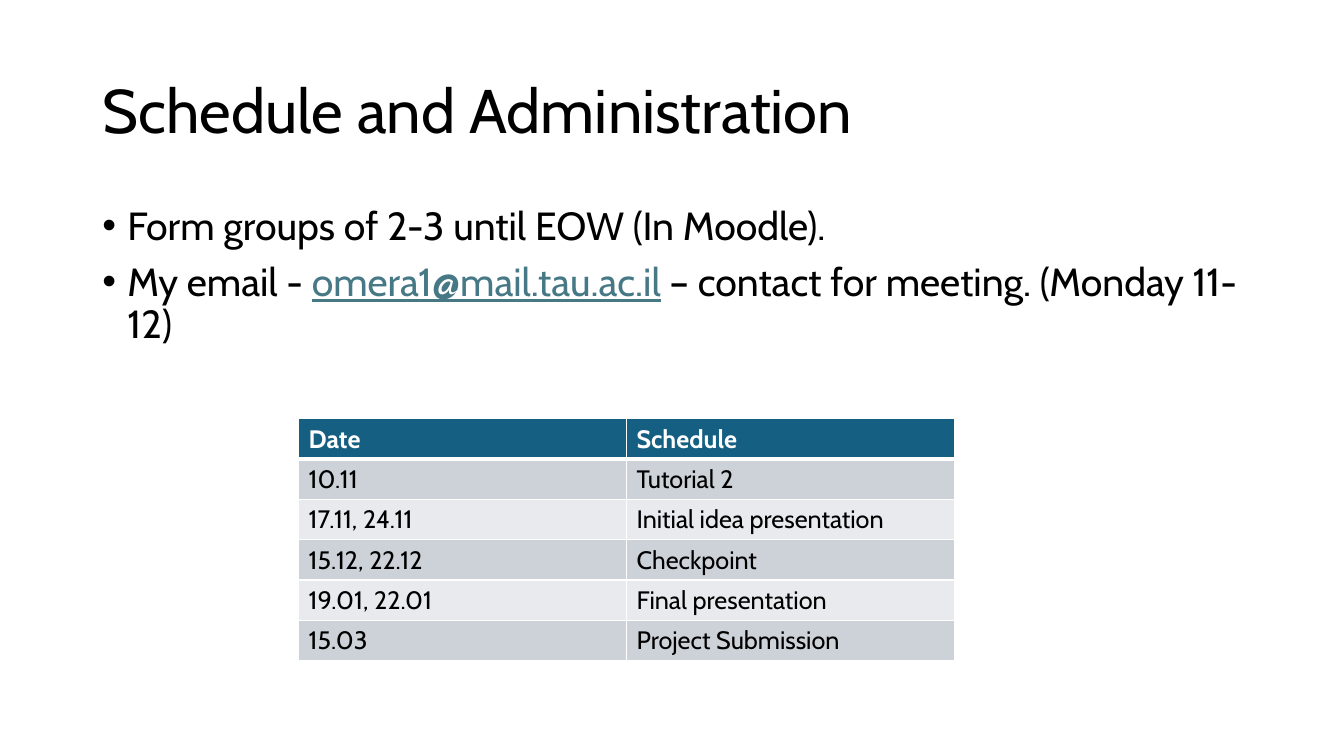
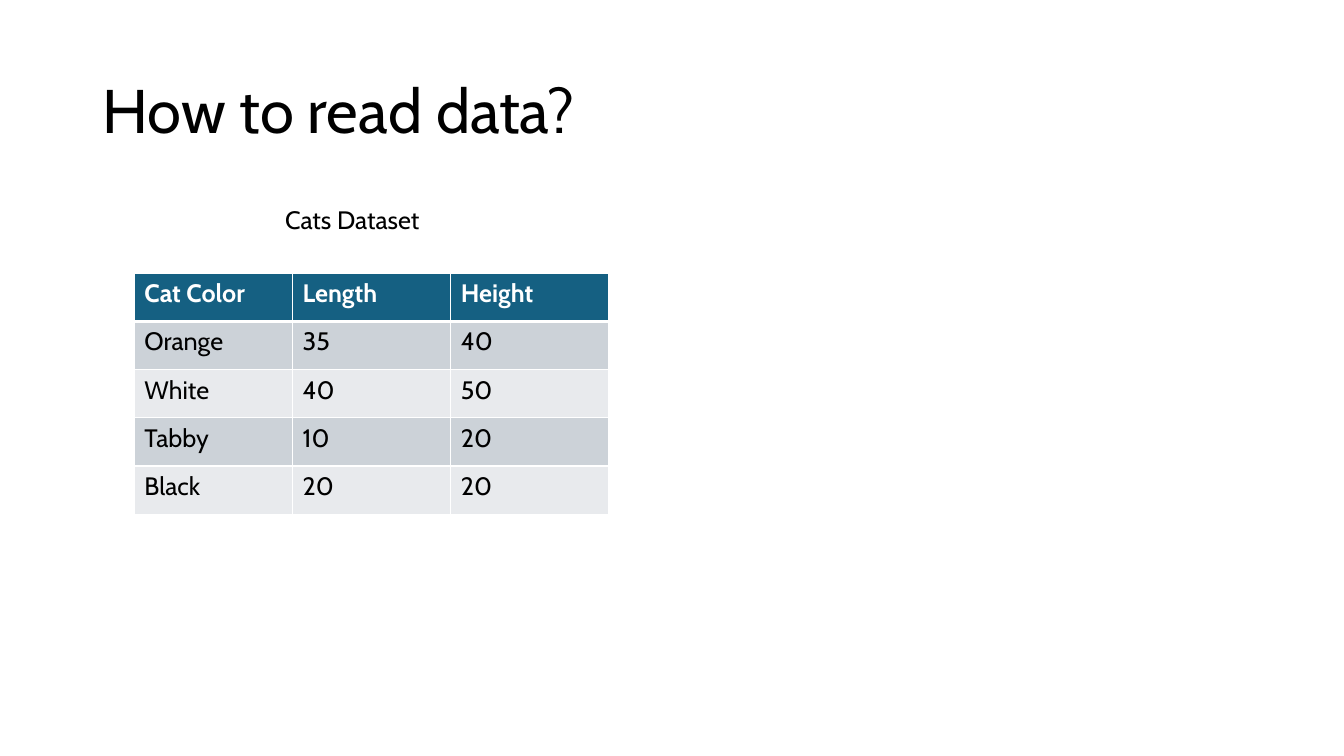
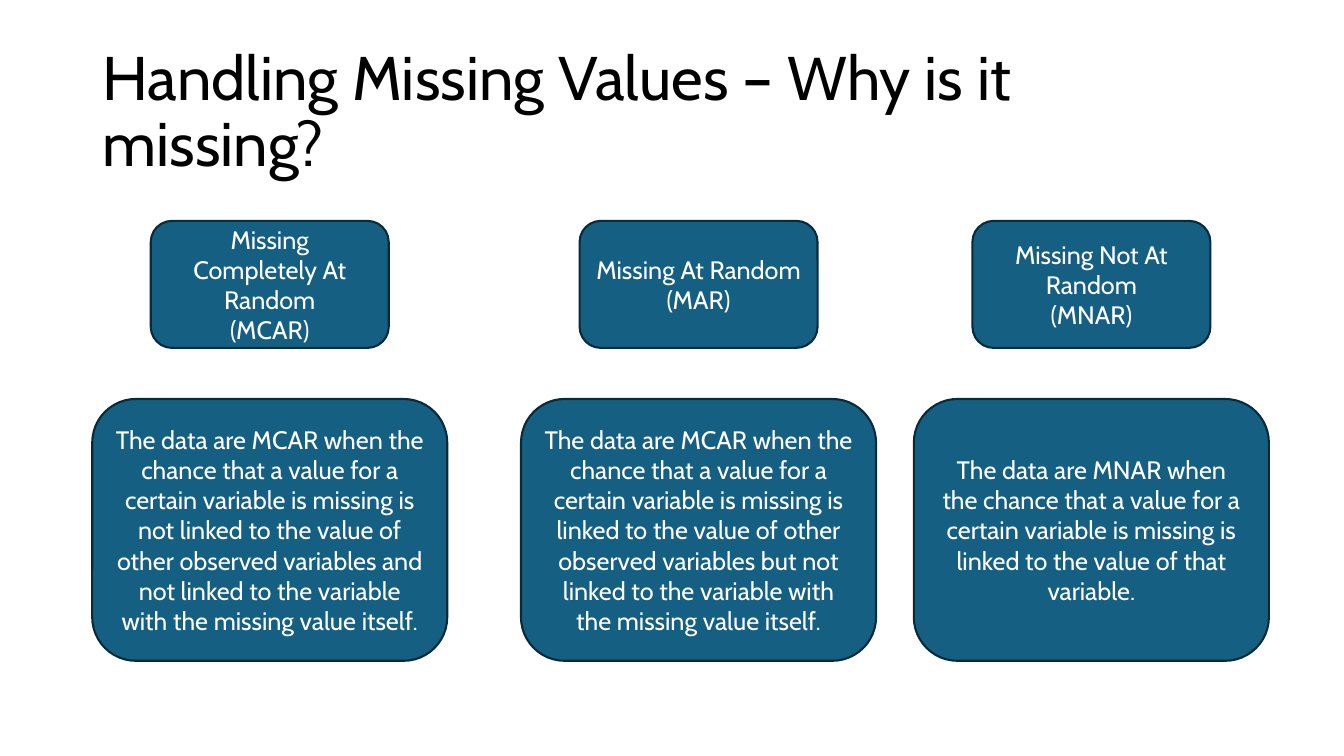
from lxml.etree import SubElement
from pptx import Presentation
from pptx.dml.color import RGBColor
from pptx.enum.shapes import MSO_SHAPE
from pptx.enum.text import MSO_ANCHOR, MSO_AUTO_SIZE, PP_ALIGN
from pptx.oxml.ns import qn
from pptx.util import Pt

BLACK = RGBColor(0x00, 0x00, 0x00)
WHITE = RGBColor(0xFF, 0xFF, 0xFF)
TEAL = RGBColor(0x15, 0x60, 0x82)
DARK_TEAL = RGBColor(0x09, 0x2A, 0x39)
LINK = RGBColor(0x46, 0x78, 0x86)
BANDS = (RGBColor(0xCC, 0xD2, 0xD8), RGBColor(0xE8, 0xEA, 0xED))

FONT = "Cabin"
TITLE_SIZE, BULLET_SIZE, TEXT_SIZE = 44, 28, 18
MARGIN, CONTENT_WIDTH = 66, 828
TITLE_ONLY = 5


class Deck:
    """Holds the presentation, the current slide and the shared style."""

    def __init__(self):
        self.presentation = Presentation()
        self.presentation.slide_width = Pt(960)
        self.presentation.slide_height = Pt(540)
        self.slide = None

    def style(self, paragraph, size=TEXT_SIZE, color=BLACK, bold=False, align=PP_ALIGN.LEFT):
        paragraph.alignment = align
        for run in paragraph.runs:
            run.font.name = FONT
            run.font.size = Pt(size)
            run.font.bold = bold
            run.font.color.rgb = color

    def add_slide(self, title):
        layout = self.presentation.slide_layouts[TITLE_ONLY]
        self.slide = self.presentation.slides.add_slide(layout)
        shape = self.slide.shapes.title
        shape.left, shape.top = Pt(MARGIN), Pt(28.75)
        shape.width, shape.height = Pt(CONTENT_WIDTH), Pt(104.4)
        frame = shape.text_frame
        frame.text = title
        frame.word_wrap = True
        frame.auto_size = MSO_AUTO_SIZE.NONE
        frame.vertical_anchor = MSO_ANCHOR.MIDDLE
        frame.paragraphs[0].line_spacing = 0.9
        self.style(frame.paragraphs[0], TITLE_SIZE)

    def add_text(self, left, top, width, height):
        shape = self.slide.shapes.add_textbox(Pt(left), Pt(top), Pt(width), Pt(height))
        shape.text_frame.word_wrap = True
        return shape.text_frame

    def add_caption(self, text, left, top, width, height):
        frame = self.add_text(left, top, width, height)
        frame.text = text
        self.style(frame.paragraphs[0], align=PP_ALIGN.CENTER)

    def add_bullets(self, items, left, top, width, height):
        """Each item is a list of (text, is_link) pairs."""
        frame = self.add_text(left, top, width, height)
        for index, item in enumerate(items):
            paragraph = frame.add_paragraph() if index else frame.paragraphs[0]
            properties = paragraph._p.get_or_add_pPr()
            properties.set("marL", str(Pt(18)))
            properties.set("indent", str(Pt(-18)))
            SubElement(properties, qn("a:buFont"), typeface="Arial")
            SubElement(properties, qn("a:buChar"), char="•")
            paragraph.line_spacing = 0.9
            if index:
                paragraph.space_before = Pt(10)
            for text, _ in item:
                paragraph.add_run().text = text
            self.style(paragraph, BULLET_SIZE)
            for run, (_, is_link) in zip(paragraph.runs, item):
                if is_link:
                    run.font.color.rgb = LINK
                    run.font.underline = True

    def set_borders(self, cell, top, bottom):
        properties = cell._tc.get_or_add_tcPr()
        for side, width in (("L", 1), ("R", 1), ("T", top), ("B", bottom)):
            line = SubElement(properties, qn(f"a:ln{side}"), w=str(Pt(width)))
            fill = SubElement(line, qn("a:solidFill"))
            SubElement(fill, qn("a:srgbClr"), val=str(WHITE))

    def add_table(self, rows, left, top, column_width, row_height):
        row_count, column_count = len(rows), len(rows[0])
        table = self.slide.shapes.add_table(
            row_count, column_count, Pt(left), Pt(top),
            Pt(column_width * column_count), Pt(row_height * row_count)).table
        for row_index, row in enumerate(rows):
            is_header = row_index == 0
            for column_index, text in enumerate(row):
                cell = table.cell(row_index, column_index)
                self.set_borders(cell, top=3 if row_index == 1 else 1,
                                 bottom=3 if is_header else 1)
                cell.fill.solid()
                cell.fill.fore_color.rgb = TEAL if is_header else BANDS[(row_index - 1) % 2]
                cell.text = text
                self.style(cell.text_frame.paragraphs[0],
                           color=WHITE if is_header else BLACK, bold=is_header)

    def add_box(self, lines, center, top, width, height):
        shape = self.slide.shapes.add_shape(
            MSO_SHAPE.ROUNDED_RECTANGLE, Pt(center - width / 2), Pt(top), Pt(width), Pt(height))
        shape.shadow.inherit = False
        shape.fill.solid()
        shape.fill.fore_color.rgb = TEAL
        shape.line.color.rgb = DARK_TEAL
        shape.line.width = Pt(1.5)
        frame = shape.text_frame
        frame.word_wrap = True
        frame.vertical_anchor = MSO_ANCHOR.MIDDLE
        frame.text = "\n".join(lines)
        for paragraph in frame.paragraphs:
            self.style(paragraph, color=WHITE, align=PP_ALIGN.CENTER)


def add_schedule(deck):
    deck.add_slide("Schedule and Administration")
    deck.add_bullets([
        [("Form groups of 2-3 until EOW (In Moodle).", False)],
        [("My email - ", False), ("omera1@mail.tau.ac.il", True),
         (" – contact for meeting. (Monday 11-12)", False)],
    ], MARGIN, 143.75, CONTENT_WIDTH, 342.6)
    deck.add_table([
        ("Date", "Schedule"),
        ("10.11", "Tutorial 2"),
        ("17.11, 24.11", "Initial idea presentation"),
        ("15.12, 22.12", "Checkpoint"),
        ("19.01, 22.01", "Final presentation"),
        ("15.03", "Project Submission"),
    ], 213.3, 299, 234.2, 28.8)


def add_cats(deck):
    deck.add_slide("How to read data?")
    deck.add_table([
        ("Cat Color", "Length", "Height"),
        ("Orange", "35", "40"),
        ("White", "40", "50"),
        ("Tabby", "10", "20"),
        ("Black", "20", "20"),
    ], 96, 195.3, 113, 34.4)
    deck.add_caption("Cats Dataset", 74.9, 142.6, 353.5, 29)


def add_missing_values(deck):
    deck.add_slide("Handling Missing Values – Why is it missing?")
    chance = "when the chance that a value for a certain variable is missing is"
    columns = [
        (192.7, "Missing Completely At Random", "(MCAR)",
         f"The data are MCAR {chance} not linked to the value of other observed variables "
         "and not linked to the variable with the missing value itself."),
        (499, "Missing At Random", "(MAR)",
         f"The data are MCAR {chance} linked to the value of other observed variables "
         "but not linked to the variable with the missing value itself."),
        (779.6, "Missing Not At Random", "(MNAR)",
         f"The data are MNAR {chance} linked to the value of that variable."),
    ]
    for center, name, acronym, _ in columns:
        deck.add_box([name, acronym], center, 157.8, 170, 90.7)
    for center, _, _, meaning in columns:
        deck.add_box([meaning], center, 285, 253.6, 187)


def main():
    deck = Deck()
    add_schedule(deck)
    add_cats(deck)
    add_missing_values(deck)
    deck.presentation.save("out.pptx")


if __name__ == "__main__":
    main()
